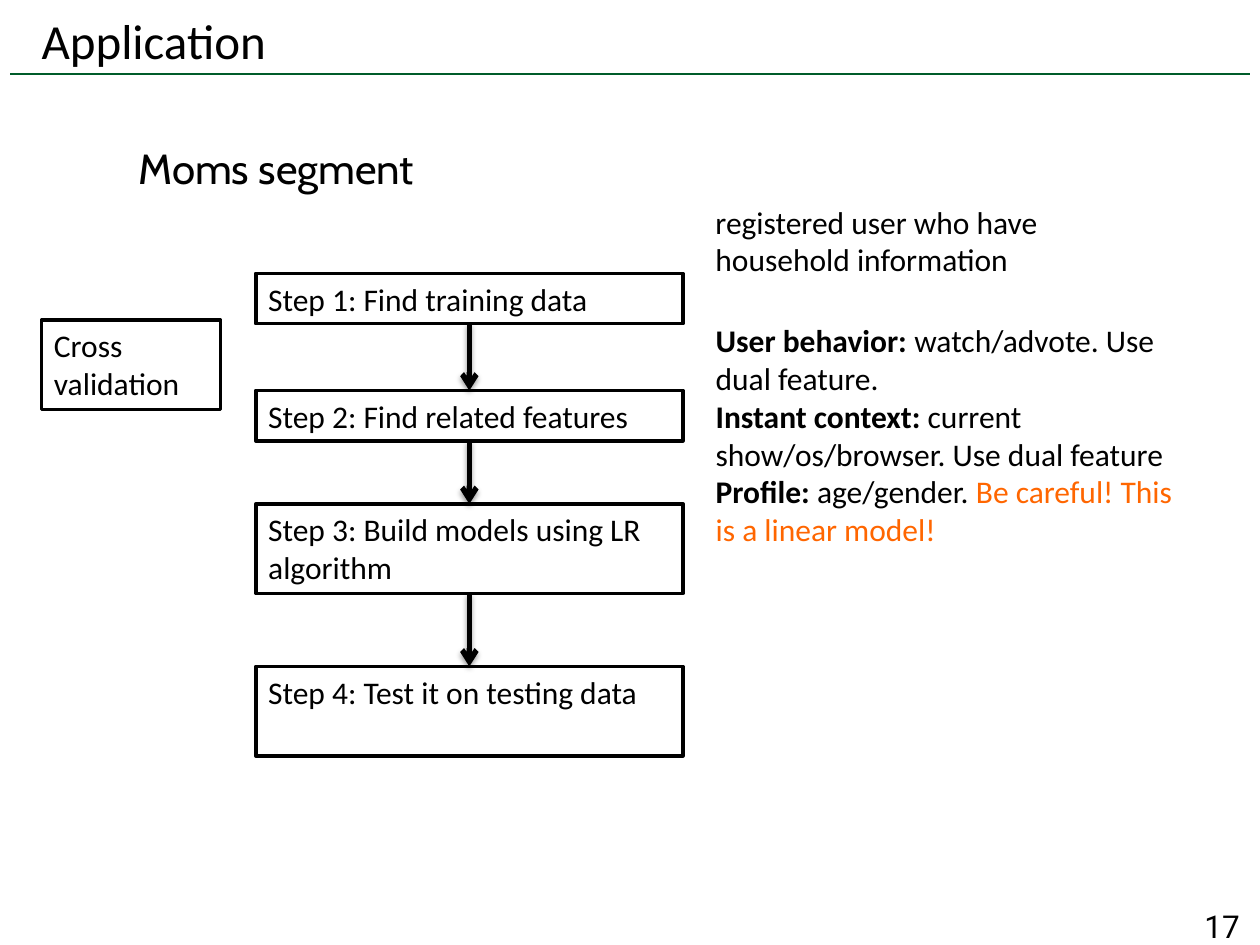
from itertools import pairwise

from lxml.etree import SubElement
from pptx import Presentation
from pptx.dml.color import RGBColor
from pptx.enum.shapes import MSO_CONNECTOR, MSO_SHAPE
from pptx.enum.text import MSO_ANCHOR as ANCHOR, PP_ALIGN as ALIGN
from pptx.oxml import parse_xml
from pptx.oxml.ns import nsdecls, qn
from pptx.util import Inches, Pt

BLACK = RGBColor(0x00, 0x00, 0x00)
WHITE = RGBColor(0xFF, 0xFF, 0xFF)
GREEN = RGBColor(0x00, 0x5C, 0x2A)
ORANGE = RGBColor(0xFF, 0x66, 0x00)

SHADOW = f"""<a:effectLst {nsdecls("a")}>
  <a:outerShdw blurRad="39370" dist="20320" dir="5400000" rotWithShape="0">
    <a:srgbClr val="000000"><a:alpha val="38000"/></a:srgbClr>
  </a:outerShdw>
</a:effectLst>"""

prs = Presentation()
prs.slide_width, prs.slide_height = Inches(10), Inches(7.5)
slide = prs.slides.add_slide(prs.slide_layouts[6])
shapes = slide.shapes

# Lengths are percentages of the slide's width and height
COL, ROW = prs.slide_width / 100, prs.slide_height / 100


def write(frame, paragraphs, size=18, font="Calibri", anchor=ANCHOR.TOP):
    """Fill a frame with paragraphs made of (text, bold, colour) runs."""
    frame.word_wrap = True
    frame.vertical_anchor = anchor
    for i, runs in enumerate(paragraphs):
        paragraph = frame.add_paragraph() if i else frame.paragraphs[0]
        paragraph.alignment = ALIGN.LEFT
        for text, bold, colour in runs:
            run = paragraph.add_run()
            run.text = text
            run.font.name, run.font.size = font, Pt(size)
            run.font.bold, run.font.color.rgb = bold, colour


def area(left, top, width, height):
    return round(left * COL), round(top * ROW), round(width * COL), round(height * ROW)


# Header rule
rule = shapes.add_connector(MSO_CONNECTOR.STRAIGHT, *area(0.8, 7.87, 99.2, 7.87))
rule.line.color.rgb, rule.line.width = GREEN, Pt(1)
SubElement(rule._element.spPr, qn("a:effectLst"))

# Title and page number, without insets
title = shapes.add_textbox(*area(3.3, 1.73, 95.1, 5.6)).text_frame
page_number = shapes.add_textbox(*area(91.8, 97.2, 6.6, 1.47)).text_frame
for frame in (title, page_number):
    frame.margin_left = frame.margin_right = frame.margin_top = frame.margin_bottom = 0
write(title, [[("Application", False, BLACK)]], size=28, anchor=ANCHOR.BOTTOM)
write(page_number, [[("17", False, BLACK)]], font="Roboto", anchor=ANCHOR.MIDDLE)
page_number.paragraphs[0].alignment = ALIGN.RIGHT

# Boxes: the side note, then the four steps
ONE_LINE, TWO_LINES = 5.33, 9.47
STEP_LEFT, STEP_WIDTH = 20.3, 33.9
boxes = []
for text, left, top, width, height in [
    ("Cross validation", 3.3, 33.87, 14.2, TWO_LINES),
    ("Step 1: Find training data", STEP_LEFT, 28.93, STEP_WIDTH, ONE_LINE),
    ("Step 2: Find related features", STEP_LEFT, 41.33, STEP_WIDTH, ONE_LINE),
    ("Step 3: Build models using LR algorithm", STEP_LEFT, 53.33, STEP_WIDTH, TWO_LINES),
    ("Step 4: Test it on testing data", STEP_LEFT, 70.53, STEP_WIDTH, TWO_LINES),
]:
    box = shapes.add_shape(MSO_SHAPE.RECTANGLE, *area(left, top, width, height))
    box.shadow.inherit = False
    box.fill.solid()
    box.fill.fore_color.rgb = WHITE
    box.line.color.rgb, box.line.width = BLACK, Pt(2)
    write(box.text_frame, [[(text, False, BLACK)]])
    boxes.append(box)

# Arrows from each step to the next
for upper, lower in pairwise(boxes[1:]):
    arrow = shapes.add_connector(MSO_CONNECTOR.STRAIGHT, 0, 0, 0, 0)
    arrow.begin_connect(upper, 2)
    arrow.end_connect(lower, 0)
    arrow.line.color.rgb, arrow.line.width = BLACK, Pt(3)
    SubElement(arrow.line._get_or_add_ln(), qn("a:tailEnd"), type="arrow")
    arrow._element.spPr.append(parse_xml(SHADOW))

# Segment heading
segment = shapes.add_textbox(*area(10, 14.4, 24.1, 6.67)).text_frame
write(segment, [[("Moms segment", False, BLACK)]], size=24, font="Cabin")
segment.word_wrap = False

# Notes on the training data and the features
training = shapes.add_textbox(*area(55.8, 20.8, 29.2, 13.47)).text_frame
write(training, [[("registered user who have household information", False, BLACK)]])

features = shapes.add_textbox(*area(50.8, 33.33, 44.2, 29.6)).text_frame
features.margin_left = Inches(0.6)
write(features, [
    [("User behavior: ", True, BLACK), ("watch/advote. Use dual feature.", False, BLACK)],
    [("Instant context: ", True, BLACK),
     ("current show/os/browser. Use dual feature", False, BLACK)],
    [("Profile:", True, BLACK), (" age/gender. ", False, BLACK),
     ("Be careful! This is a linear model!", False, ORANGE)],
])

prs.save("out.pptx")
